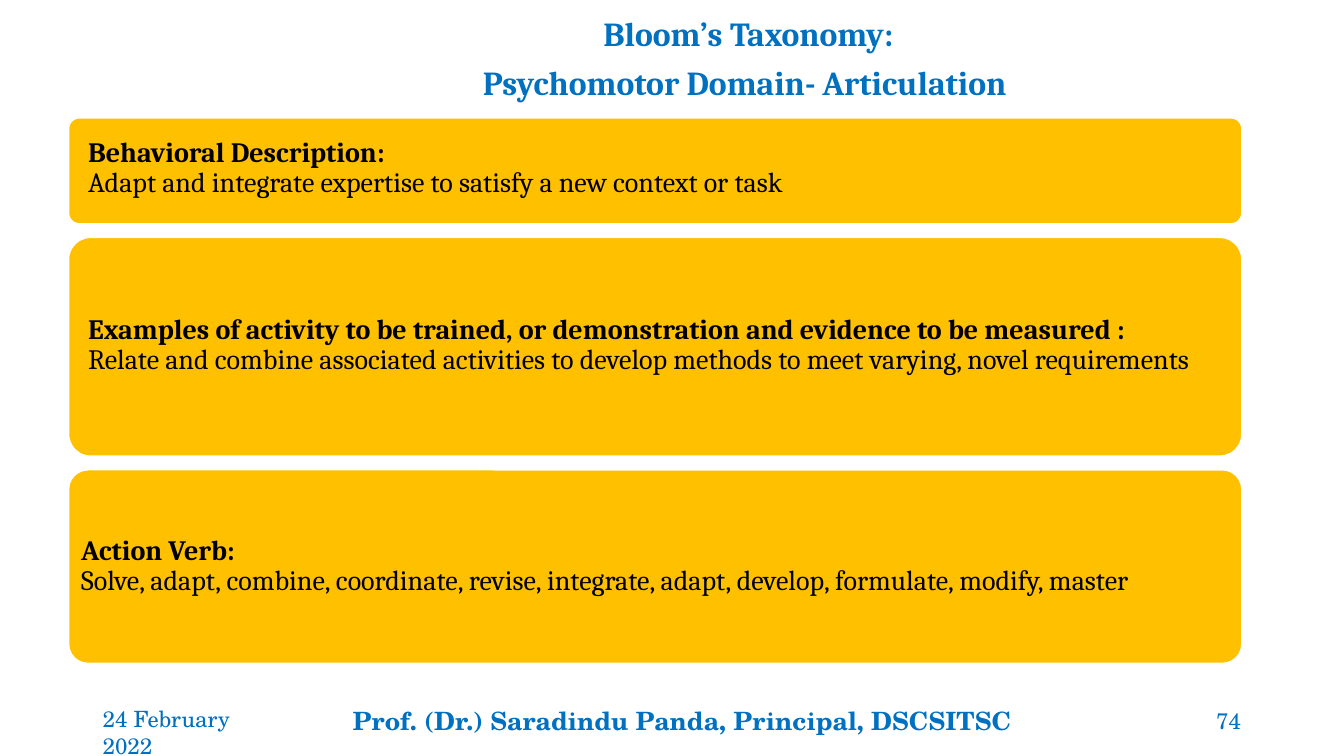
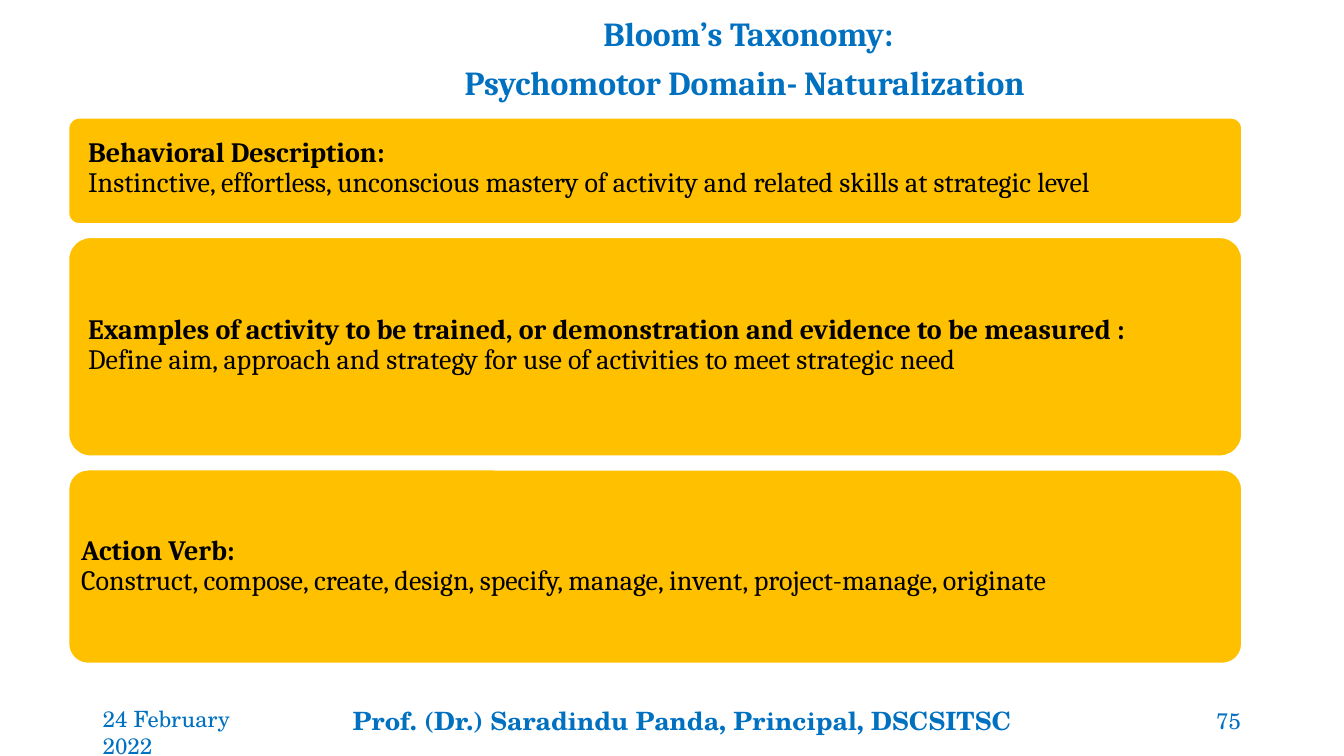
"""Build two slides on the psychomotor levels of Bloom's taxonomy."""
from dataclasses import dataclass

from pptx import Presentation
from pptx.dml.color import RGBColor
from pptx.enum import shapes, text
from pptx.util import Pt


@dataclass(frozen=True)
class Theme:
    """Colours, fonts and type sizes shared by the slides."""
    blue: RGBColor = RGBColor(0x00, 0x70, 0xC0)
    amber: RGBColor = RGBColor(0xFF, 0xC0, 0x00)
    black: RGBColor = RGBColor(0, 0, 0)
    white: RGBColor = RGBColor(0xFF, 0xFF, 0xFF)
    serif: str = "Cambria"
    footer_font: str = "TeX Gyre Schola"
    spacer_font: str = "Arial"
    title_size: int = 24
    body_size: int = 20
    footer_size: int = 16
    author_size: int = 18
    spacer_size: int = 18


@dataclass(frozen=True)
class Card:
    """Heading and geometry of one card, in points."""
    heading: str
    height: float
    indent: float
    lift: float


THEME = Theme()
CARD_LEFT, CARD_TOP, CARD_WIDTH, CARD_GAP = 49, 84.25, 838, 9.75
CARD_CORNER, CARD_INSET = 0.1, 6
CORNER_INSET = 0.29
FOOTER_TOP, FOOTER_HEIGHT = 500.4, 28.8
FIRST_NUMBER = 74

CARDS = (
    Card("Behavioral Description:", 75.6, 13.9, 3.6),
    Card("Examples of activity to be trained, or demonstration and evidence to be measured :",
         156.25, 13.9, 1.4),
    Card("Action Verb:", 138.25, 8.9, 0),
)

LEVELS = (
    ("Articulation", (
        "Adapt and integrate expertise to satisfy a new context or task",
        "Relate and combine associated activities to develop methods to meet varying, "
        "novel requirements",
        "Solve, adapt, combine, coordinate, revise, integrate, adapt, develop, formulate, "
        "modify, master")),
    ("Naturalization", (
        "Instinctive, effortless, unconscious mastery of activity and related skills "
        "at strategic level",
        "Define aim, approach and strategy for use of activities to meet strategic need",
        "Construct, compose, create, design, specify, manage, invent, project-manage, "
        "originate")),
)


def add_span(para, words, *, size, font, color, bold=False):
    """Append formatted text to a paragraph."""
    span = para.add_run()
    span.text = words
    span.font.size = Pt(size)
    span.font.name = font
    span.font.color.rgb = color
    span.font.bold = bold


def set_para(para, align, before=0, after=0):
    """Set alignment and tight spacing of a paragraph."""
    para.alignment = align
    para.line_spacing = 0.9
    para.space_before = Pt(before)
    para.space_after = Pt(after)


def add_title(page, level):
    """Fill the title placeholder with two centred lines."""
    title = page.shapes.title
    title.left, title.top, title.width, title.height = map(Pt, (180, 13, 709, 64))
    frame = title.text_frame
    frame.auto_size = text.MSO_AUTO_SIZE.NONE
    frame.vertical_anchor = text.MSO_ANCHOR.BOTTOM
    style = dict(size=THEME.title_size, font=THEME.serif, color=THEME.blue, bold=True)
    first, second = frame.paragraphs[0], frame.add_paragraph()
    set_para(first, text.PP_ALIGN.CENTER, after=3)
    set_para(second, text.PP_ALIGN.CENTER, before=6, after=3)
    add_span(first, "Bloom’s Taxonomy:", **style)
    add_span(second, "Psychomotor Domain-", **style)
    add_span(second, " ", size=THEME.spacer_size, font=THEME.spacer_font, color=THEME.black)
    add_span(second, level + " ", **style)


def add_card(page, card, top, detail):
    """Add a rounded card with a bold heading and one line of detail."""
    box = page.shapes.add_shape(shapes.MSO_SHAPE.ROUNDED_RECTANGLE, Pt(CARD_LEFT), Pt(top),
                                Pt(CARD_WIDTH), Pt(card.height))
    box.adjustments[0] = CARD_CORNER
    box.shadow.inherit = False
    box.fill.solid()
    box.fill.fore_color.rgb = THEME.amber
    box.line.color.rgb = THEME.white
    box.line.width = Pt(1)
    frame = box.text_frame
    frame.word_wrap = True
    frame.vertical_anchor = text.MSO_ANCHOR.MIDDLE
    frame.margin_left = Pt(card.indent - CORNER_INSET * CARD_CORNER * card.height)
    frame.margin_right = frame.margin_top = Pt(CARD_INSET)
    frame.margin_bottom = Pt(CARD_INSET + card.lift)
    for para, words, bold in ((frame.paragraphs[0], card.heading, True),
                              (frame.add_paragraph(), detail, False)):
        set_para(para, text.PP_ALIGN.JUSTIFY)
        add_span(para, words, size=THEME.body_size, font=THEME.serif,
                 color=THEME.black, bold=bold)


def add_footer_text(page, words, left, width, *, size=THEME.footer_size, bold=False,
                    align=text.PP_ALIGN.LEFT, anchor=text.MSO_ANCHOR.TOP):
    """Add one text box on the footer line."""
    box = page.shapes.add_textbox(Pt(left), Pt(FOOTER_TOP), Pt(width), Pt(FOOTER_HEIGHT))
    frame = box.text_frame
    frame.word_wrap = True
    frame.vertical_anchor = anchor
    para = frame.paragraphs[0]
    para.alignment = align
    add_span(para, words, size=size, font=THEME.footer_font, color=THEME.blue, bold=bold)


def add_footer(page, number):
    """Add the date, author and slide number."""
    add_footer_text(page, "24 February 2022", 66.25, 143.25)
    add_footer_text(page, "Prof. (Dr.) Saradindu Panda, Principal, DSCSITSC", 244.8, 490.3,
                    size=THEME.author_size, bold=True)
    add_footer_text(page, str(number), 789, 104.5, align=text.PP_ALIGN.RIGHT,
                    anchor=text.MSO_ANCHOR.MIDDLE)


def main():
    """Build and save the deck."""
    deck = Presentation()
    deck.slide_width, deck.slide_height = Pt(960), Pt(540)
    title_only = deck.slide_layouts[5]
    for number, (level, details) in enumerate(LEVELS, FIRST_NUMBER):
        page = deck.slides.add_slide(title_only)
        add_title(page, level)
        top = CARD_TOP
        for card, detail in zip(CARDS, details):
            add_card(page, card, top, detail)
            top += card.height + CARD_GAP
        add_footer(page, number)
    deck.save("out.pptx")


if __name__ == "__main__":
    main()
